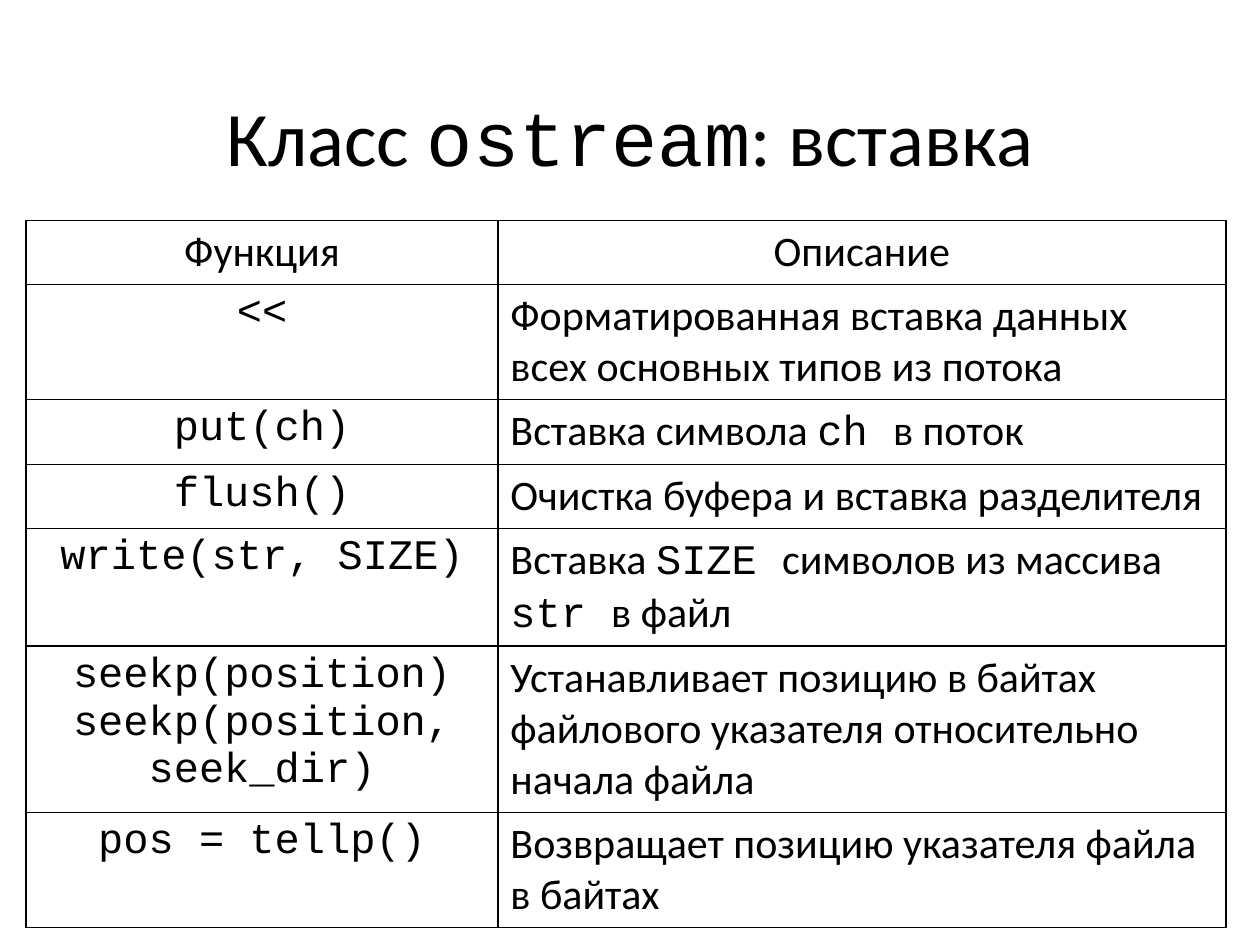
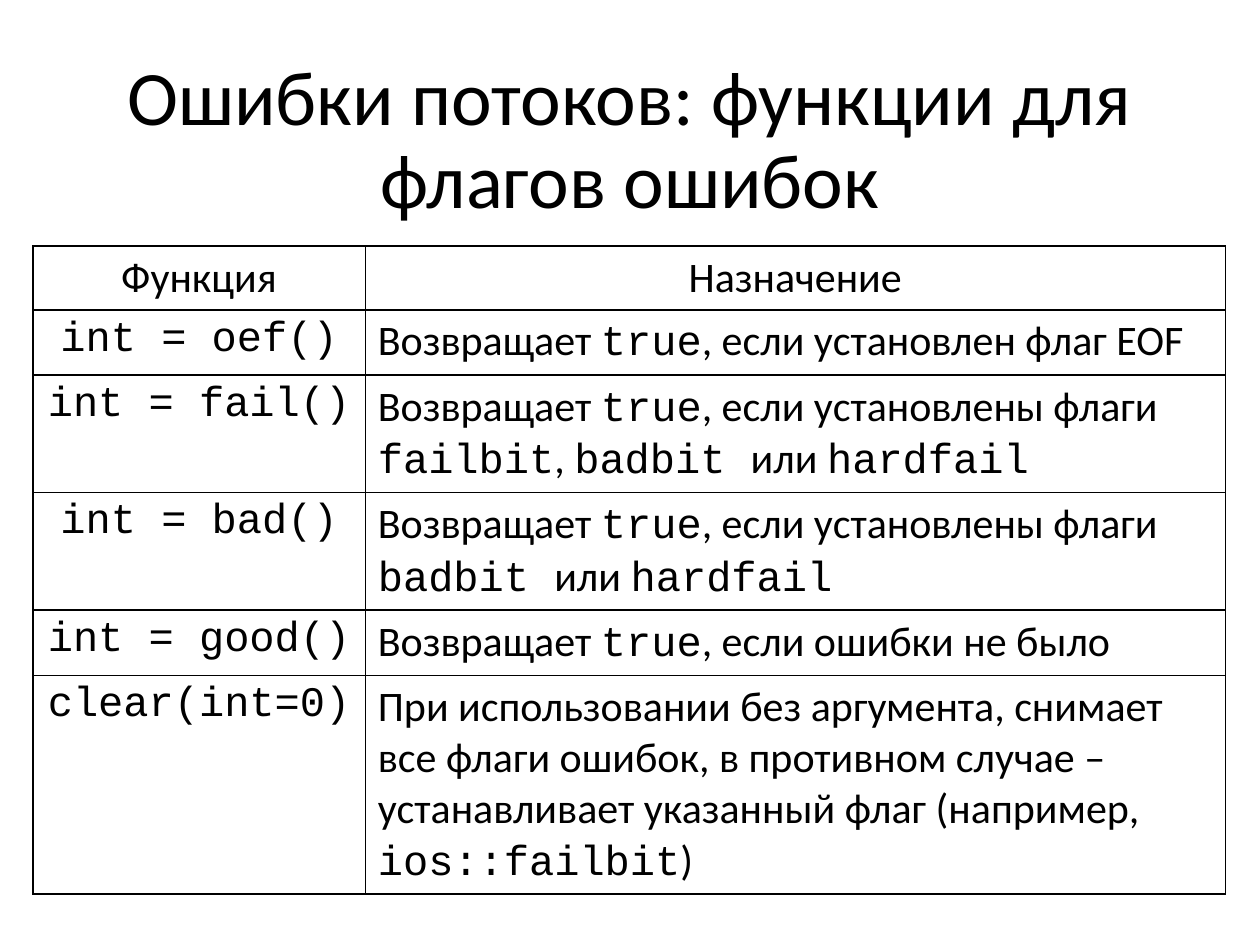
"""Builds two slides with reference tables on stream functions."""
from lxml.etree import SubElement
from pptx import Presentation
from pptx.dml.color import RGBColor
from pptx.enum.text import MSO_ANCHOR, MSO_AUTO_SIZE, PP_ALIGN
from pptx.oxml.ns import qn
from pptx.util import Pt

COLOURS = {"text": "000000", "border": "000000", "background": "FFFFFF"}
TEXT_FONT, CODE_FONT = "Calibri", "Courier New"
TITLE_SIZE, TABLE_SIZE = 44, 24
ROW_HEIGHT = 29.5

SLIDES = [
    {
        "title": "Класс `ostream`: вставка",
        "left": 15, "top": 126, "columns": (269.5, 416),
        "rows": [
            ("Функция", "Описание"),
            ("`<<`", "Форматированная вставка данных всех основных типов из потока"),
            ("`put(ch)`", "Вставка символа `ch `в поток"),
            ("`flush()`", "Очистка буфера и вставка разделителя"),
            ("`write(str, SIZE)`", "Вставка `SIZE `символов из массива `str `в файл"),
            ("`seekp(position)`\n`seekp(position, seek_dir)`",
             "Устанавливает позицию в байтах файлового указателя относительно начала файла"),
            ("`pos = tellp()`", "Возвращает позицию указателя файла в байтах"),
        ],
    },
    {
        "title": "Ошибки потоков: функции для флагов ошибок",
        "left": 18.75, "top": 140.5, "columns": (190, 491.5),
        "rows": [
            ("Функция", "Назначение"),
            ("`int = oef()`", "Возвращает `true`, если установлен флаг EOF"),
            ("`int = fail()`",
             "Возвращает `true`, если установлены флаги `failbit`, `badbit `или `hardfail`"),
            ("`int = bad()`",
             "Возвращает `true`, если установлены флаги `badbit `или `hardfail`"),
            ("`int = good()`", "Возвращает `true`, если ошибки не было"),
            ("`clear(int=0)`",
             "При использовании без аргумента, снимает все флаги ошибок, в противном случае – "
             "устанавливает указанный флаг (например, `ios::failbit`)"),
        ],
    },
]


def write_text(text_frame, text, size, alignment, line_spacing=1.0):
    """Write lines into a text frame, setting backquoted parts in the code font."""
    for index, line in enumerate(text.split("\n")):
        paragraph = text_frame.add_paragraph() if index else text_frame.paragraphs[0]
        paragraph.alignment = alignment
        paragraph.line_spacing = line_spacing
        for position, part in enumerate(line.split("`")):
            if part:
                run = paragraph.add_run()
                run.text = part
                run.font.name = CODE_FONT if position % 2 else TEXT_FONT
                run.font.size = Pt(size)
                run.font.color.rgb = RGBColor.from_string(COLOURS["text"])


def add_borders(cell):
    """Draw a solid one-point line on each side of a table cell."""
    properties = cell._tc.get_or_add_tcPr()
    for side in ("a:lnL", "a:lnR", "a:lnT", "a:lnB"):
        line = SubElement(properties, qn(side), w=str(Pt(1)))
        fill = SubElement(line, qn("a:solidFill"))
        SubElement(fill, qn("a:srgbClr"), val=COLOURS["border"])


presentation = Presentation()
presentation.slide_width, presentation.slide_height = Pt(720), Pt(540)
title_only_layout = presentation.slide_layouts[5]

for content in SLIDES:
    slide = presentation.slides.add_slide(title_only_layout)
    slide.background.fill.solid()
    slide.background.fill.fore_color.rgb = RGBColor.from_string(COLOURS["background"])

    title = slide.shapes.title
    title.left, title.top, title.width, title.height = Pt(49.5), Pt(28.75), Pt(621), Pt(104.5)
    title.text_frame.auto_size = MSO_AUTO_SIZE.NONE
    title.text_frame.vertical_anchor = MSO_ANCHOR.MIDDLE
    write_text(title.text_frame, content["title"], TITLE_SIZE, PP_ALIGN.CENTER, 0.9)

    rows, columns = content["rows"], content["columns"]
    table = slide.shapes.add_table(
        len(rows), len(columns), Pt(content["left"]), Pt(content["top"]),
        Pt(sum(columns)), Pt(ROW_HEIGHT * len(rows))).table
    table.first_row = table.horz_banding = False
    for column, width in zip(table.columns, columns):
        column.width = Pt(width)
    for row_index, row in enumerate(rows):
        for column_index, text in enumerate(row):
            cell = table.cell(row_index, column_index)
            centred = row_index == 0 or column_index == 0
            write_text(cell.text_frame, text, TABLE_SIZE,
                       PP_ALIGN.CENTER if centred else PP_ALIGN.LEFT)
            add_borders(cell)
            cell.fill.background()

presentation.save("out.pptx")
